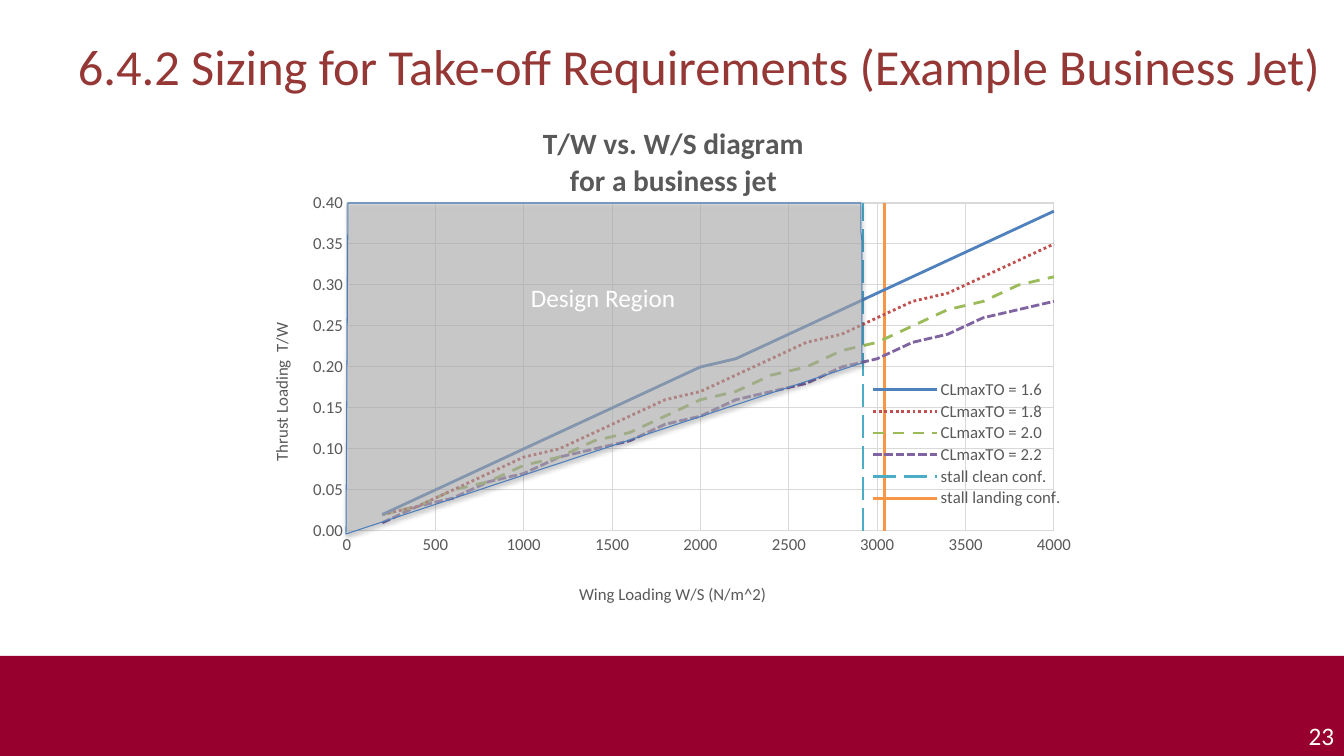
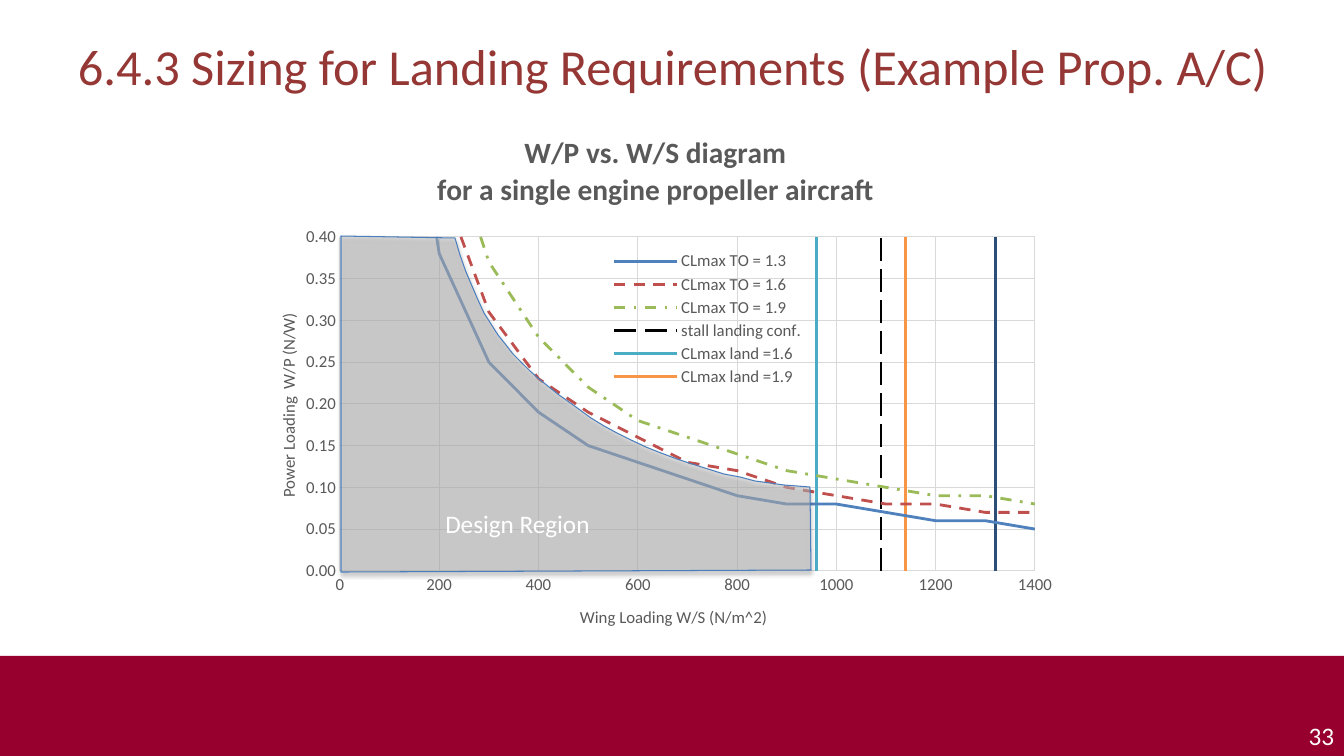
from dataclasses import dataclass

from lxml import etree
from pptx import Presentation
from pptx.chart.data import XyChartData
from pptx.dml.color import RGBColor
from pptx.enum.chart import XL_CHART_TYPE, XL_LEGEND_POSITION, XL_TICK_MARK
from pptx.enum.dml import MSO_LINE
from pptx.enum.shapes import MSO_SHAPE
from pptx.enum.text import MSO_ANCHOR, PP_ALIGN
from pptx.oxml import parse_xml
from pptx.oxml.ns import nsdecls, qn
from pptx.util import Pt

SCATTER = XL_CHART_TYPE.XY_SCATTER_SMOOTH_NO_MARKERS
BOTTOM, NO_TICK = XL_LEGEND_POSITION.BOTTOM, XL_TICK_MARK.NONE
RECTANGLE, TOP = MSO_SHAPE.RECTANGLE, MSO_ANCHOR.TOP
LEFT, CENTER, RIGHT = PP_ALIGN.LEFT, PP_ALIGN.CENTER, PP_ALIGN.RIGHT
SOLID, DOT, SHORT_DASH = MSO_LINE.SOLID, MSO_LINE.ROUND_DOT, MSO_LINE.SQUARE_DOT
DASH, DASH_DOT, LONG_DASH = MSO_LINE.DASH, MSO_LINE.DASH_DOT, MSO_LINE.LONG_DASH

PAGE_WIDTH, PAGE_HEIGHT = 1344, 756
EMU_PER_PX = 12192000 / PAGE_WIDTH


@dataclass(frozen=True)
class Theme:
    font: str = "Calibri"
    band: str = "97002E"
    title: str = "953735"
    white: str = "FFFFFF"
    chart_text: str = "595959"
    grid: str = "D9D9D9"
    region: str = "BFBFBF"
    outline: str = "4B7EBC"
    blue: str = "4F81BD"
    red: str = "C0504D"
    green: str = "9BBB59"
    purple: str = "8064A2"
    teal: str = "4BACC6"
    orange: str = "F79646"
    black: str = "000000"
    navy: str = "2C4D75"
    title_size: int = 36
    body_size: int = 18
    chart_title_size: int = 21
    chart_size: int = 12
    region_alpha: int = 53
    series_width: int = 2


THEME = Theme()


def px(length):
    return round(length * EMU_PER_PX)


def place(box):
    return [px(length) for length in box]


def set_font(font, size, color, bold=False):
    formats = {"name": THEME.font, "size": Pt(size), "bold": bold}
    for name, value in formats.items():
        setattr(font, name, value)
    font.color.rgb = RGBColor.from_string(color)


def set_line(line, color, width):
    line.color.rgb = RGBColor.from_string(color)
    line.width = Pt(width)


def set_fill(shape, color):
    shape.fill.solid()
    shape.fill.fore_color.rgb = RGBColor.from_string(color)


def add_text(page, box, text, size, color, align=LEFT):
    frame = page.shapes.add_textbox(*place(box)).text_frame
    frame.word_wrap = True
    frame.vertical_anchor = TOP
    para = frame.paragraphs[0]
    para.alignment = align
    span = para.add_run()
    span.text = text
    set_font(span.font, size, color)


# Frame shared by the slides: title, band and page number
def add_frame(page, title, number):
    band = page.shapes.add_shape(RECTANGLE, *place((0, 656, PAGE_WIDTH, 100)))
    band.shadow.inherit = False
    set_fill(band, THEME.band)
    band.line.fill.background()
    add_text(page, (1273, 715, 71, 40), number, THEME.body_size, THEME.white, RIGHT)
    add_text(page, (68, 30, 1268, 127), title, THEME.title_size, THEME.title)


# Fixed place of a chart part, given in px within the chart box
def set_layout(element, chart_box, left, top, width=None, height=None, inner=False):
    old = element.find(qn("c:layout"))
    if old is not None:
        element.remove(old)
    before = [qn("c:tx"), qn("c:legendPos"), qn("c:legendEntry")]
    layout = etree.Element(qn("c:layout"))
    element.insert(sum(child.tag in before for child in element), layout)
    manual = etree.SubElement(layout, qn("c:manualLayout"))
    full_width, full_height = chart_box[2:]
    values = {"layoutTarget": "inner"} if inner else {}
    values.update(xMode="edge", yMode="edge", x=left / full_width, y=top / full_height)
    if width:
        values.update(w=width / full_width, h=height / full_height)
    for name, value in values.items():
        text = value if isinstance(value, str) else f"{value:.4f}"
        etree.SubElement(manual, qn(f"c:{name}")).set("val", text)


def fill_title(title, text, size, bold=False):
    title.text_frame.text = text
    for para in title.text_frame.paragraphs:
        para.alignment = CENTER
        for span in para.runs:
            set_font(span.font, size, THEME.chart_text, bold)


def style_axis(axis, chart_box, settings):
    formats = {
        "minimum_scale": 0,
        "maximum_scale": settings["maximum"],
        "major_unit": settings["step"],
        "major_tick_mark": NO_TICK,
        "minor_tick_mark": NO_TICK,
        "has_major_gridlines": True,
        "has_title": True,
    }
    for name, value in formats.items():
        setattr(axis, name, value)
    set_line(axis.major_gridlines.format.line, THEME.grid, 0.75)
    axis.format.line.fill.background()
    labels = axis.tick_labels
    set_font(labels.font, THEME.chart_size, THEME.chart_text)
    labels.number_format = settings["format"]
    labels.number_format_is_linked = False
    fill_title(axis.axis_title, settings["title"], THEME.chart_size)
    set_layout(axis.axis_title._element, chart_box, *settings["title_at"])


def add_legend(chart, chart_box, legend_box, hidden):
    chart.has_legend = True
    legend = chart.legend
    legend.position = BOTTOM
    legend.include_in_layout = False
    set_font(legend.font, THEME.chart_size, THEME.chart_text)
    for index in hidden:
        entry = etree.Element(qn("c:legendEntry"))
        etree.SubElement(entry, qn("c:idx")).set("val", str(index))
        etree.SubElement(entry, qn("c:delete")).set("val", "1")
        legend._element.insert(1, entry)
    set_layout(legend._element, chart_box, *legend_box)


# Sizing chart: curves, axes, title and legend
def add_sizing_chart(page, box, diagram):
    data = XyChartData(number_format="0.00")
    for name, points, color, dash in diagram["series"]:
        series = data.add_series(name)
        for x, y in points:
            series.add_data_point(x, y)
    chart = page.shapes.add_chart(SCATTER, *place(box), data).chart
    set_font(chart.font, THEME.chart_size, THEME.chart_text)
    chart.plots[0].vary_by_categories = False
    for series, (name, points, color, dash) in zip(chart.plots[0].series, diagram["series"]):
        series.smooth = True
        set_line(series.format.line, color, THEME.series_width)
        series.format.line.dash_style = dash
    style_axis(chart.category_axis, box, diagram["x_axis"])
    style_axis(chart.value_axis, box, diagram["y_axis"])
    body = chart.value_axis.axis_title.text_frame._txBody.find(qn("a:bodyPr"))
    body.set("rot", "-5400000")
    body.set("vert", "horz")
    chart.has_title = True
    fill_title(chart.chart_title, diagram["title"], THEME.chart_title_size, True)
    set_layout(chart.chart_title._element, box, *diagram["title_at"])
    plot_area = chart._chartSpace.find(".//" + qn("c:plotArea"))
    set_layout(plot_area, box, *diagram["plot"], inner=True)
    add_legend(chart, box, diagram["legend"], diagram["hidden"])


# Outline steps hold one point for a line, three for a Bézier curve
def trace(steps, pieces=16):
    points = [steps[0][0]]
    for step in steps[1:]:
        if len(step) == 1:
            points += step
            continue
        corners = [points[-1], *step]
        for piece in range(1, pieces + 1):
            t = piece / pieces
            weights = ((1 - t) ** 3, 3 * t * (1 - t) ** 2, 3 * t * t * (1 - t), t ** 3)
            points.append(tuple(sum(w * corner[i] for w, corner in zip(weights, corners))
                                for i in (0, 1)))
    return points


# Translucent design region with its label
def add_design_region(page, box, region):
    left, top = box[:2]
    points = [(left + x, top + y) for x, y in trace(region["outline"])]
    builder = page.shapes.build_freeform(*points[0], scale=EMU_PER_PX)
    builder.add_line_segments(points[1:], close=True)
    shape = builder.convert_to_shape()
    set_fill(shape, THEME.region)
    color = shape._element.spPr.find(".//" + qn("a:srgbClr"))
    etree.SubElement(color, qn("a:alpha")).set("val", str(THEME.region_alpha * 1000))
    set_line(shape.line, THEME.outline, 0.75)
    shape._element.spPr.append(parse_xml(
        f'<a:effectLst {nsdecls("a")}><a:outerShdw blurRad="{Pt(3.1)}" dist="{Pt(1.8)}" '
        f'dir="5400000" rotWithShape="0"><a:srgbClr val="{THEME.black}">'
        '<a:alpha val="35000"/></a:srgbClr></a:outerShdw></a:effectLst>'))
    x, y, width, height = region["label"]
    add_text(page, (left + x, top + y, width, height), "Design Region",
             THEME.body_size, THEME.white, CENTER)


def add_sizing_slide(deck, slide):
    page = deck.slides.add_slide(deck.slide_layouts[6])
    add_frame(page, slide["title"], slide["number"])
    add_sizing_chart(page, slide["box"], slide["diagram"])
    add_design_region(page, slide["box"], slide["region"])


def curve(step, values):
    return [(step * index, value) for index, value in enumerate(values, 1)]


def limit(x, top):
    return [(x, 0), (x, top)]


TAKE_OFF = {
    "title": "6.4.2 Sizing for Take-off Requirements (Example Business Jet)",
    "number": "23",
    "box": (245, 116, 854, 508),
    "diagram": {
        "title": "T/W vs. W/S diagram\nfor a business jet", "title_at": (295, 5),
        "plot": (102, 87, 707, 328), "legend": (624, 262, 196, 132), "hidden": [],
        "x_axis": {"title": "Wing Loading W/S (N/m^2)", "title_at": (331, 464),
                   "maximum": 4000, "step": 500, "format": "0"},
        "y_axis": {"title": "Thrust Loading  T/W", "title_at": (22, 204),
                   "maximum": 0.4, "step": 0.05, "format": "0.00"},
        "series": [
            ("CLmaxTO = 1.6", curve(200, [
                0.02, 0.04, 0.06, 0.08, 0.1, 0.12, 0.14, 0.16, 0.18, 0.2,
                0.21, 0.23, 0.25, 0.27, 0.29, 0.31, 0.33, 0.35, 0.37, 0.39]), THEME.blue, SOLID),
            ("CLmaxTO = 1.8", curve(200, [
                0.02, 0.03, 0.05, 0.07, 0.09, 0.1, 0.12, 0.14, 0.16, 0.17,
                0.19, 0.21, 0.23, 0.24, 0.26, 0.28, 0.29, 0.31, 0.33, 0.35]), THEME.red, DOT),
            ("CLmaxTO = 2.0", curve(200, [
                0.02, 0.03, 0.05, 0.06, 0.08, 0.09, 0.11, 0.12, 0.14, 0.16,
                0.17, 0.19, 0.2, 0.22, 0.23, 0.25, 0.27, 0.28, 0.3, 0.31]), THEME.green, DASH),
            ("CLmaxTO = 2.2", curve(200, [
                0.01, 0.03, 0.04, 0.06, 0.07, 0.09, 0.1, 0.11, 0.13, 0.14,
                0.16, 0.17, 0.18, 0.2, 0.21, 0.23, 0.24, 0.26, 0.27, 0.28]),
             THEME.purple, SHORT_DASH),
            ("stall clean conf.", limit(2920, 0.45), THEME.teal, LONG_DASH),
            ("stall landing conf.", limit(3040, 0.45), THEME.orange, SOLID),
        ],
    },
    "region": {
        "outline": [[(103, 87)], [(616, 87)], [(617, 136), (617, 198), (617, 247)], [(101, 418)]],
        "label": (129, 161, 458, 42),
    },
}

LANDING = {
    "title": "6.4.3 Sizing for Landing Requirements (Example Prop. A/C)",
    "number": "33",
    "box": (239, 121, 846, 515),
    "diagram": {
        "title": "W/P vs. W/S diagram\nfor a single engine propeller aircraft",
        "title_at": (195, 9),
        "plot": (101, 116, 695, 334), "legend": (373, 127, 191, 142), "hidden": [6],
        "x_axis": {"title": "Wing Loading W/S (N/m^2)", "title_at": (338, 482),
                   "maximum": 1400, "step": 200, "format": "0"},
        "y_axis": {"title": "Power Loading  W/P (N/W)", "title_at": (35, 189),
                   "maximum": 0.4, "step": 0.05, "format": "0.00"},
        "series": [
            ("CLmax TO = 1.3", curve(100, [
                0.76, 0.38, 0.25, 0.19, 0.15, 0.13, 0.11, 0.09,
                0.08, 0.08, 0.07, 0.06, 0.06, 0.05, 0.05]), THEME.blue, SOLID),
            ("CLmax TO = 1.6", curve(100, [
                0.93, 0.47, 0.31, 0.23, 0.19, 0.16, 0.13, 0.12,
                0.1, 0.09, 0.08, 0.08, 0.07, 0.07, 0.06]), THEME.red, DASH),
            ("CLmax TO = 1.9", curve(100, [
                1.11, 0.55, 0.37, 0.28, 0.22, 0.18, 0.16, 0.14,
                0.12, 0.11, 0.1, 0.09, 0.09, 0.08, 0.07]), THEME.green, DASH_DOT),
            ("stall landing conf.", limit(1090, 0.45), THEME.black, LONG_DASH),
            ("CLmax land =1.6", limit(960, 0.4), THEME.teal, SOLID),
            ("CLmax land =1.9", limit(1140, 0.4), THEME.orange, SOLID),
            ("CLmax land =2.2", limit(1320, 0.4), THEME.navy, SOLID),
        ],
    },
    "region": {
        "outline": [[(572, 449)], [(102, 451)], [(102, 115)], [(216, 117)],
                    [(243, 214), (282, 248), (341, 289)], [(398, 332), (507, 365), (571, 366)]],
        "label": (121, 382, 315, 44),
    },
}


def main():
    deck = Presentation()
    deck.slide_width, deck.slide_height = px(PAGE_WIDTH), px(PAGE_HEIGHT)
    for slide in (TAKE_OFF, LANDING):
        add_sizing_slide(deck, slide)
    deck.save("out.pptx")


if __name__ == "__main__":
    main()
